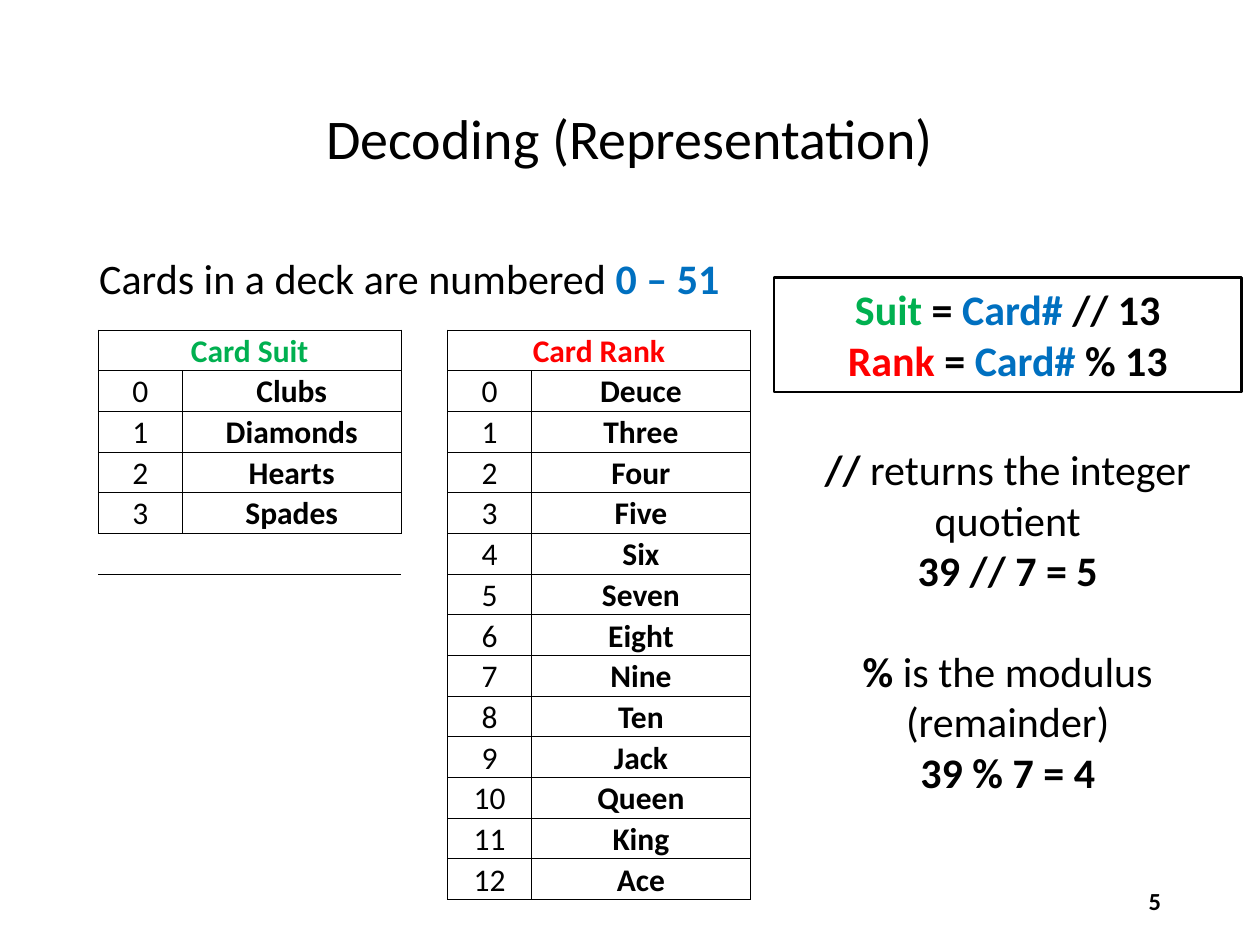
from itertools import zip_longest

from lxml import etree
from pptx import Presentation
from pptx.dml.color import RGBColor
from pptx.enum.shapes import MSO_SHAPE
from pptx.enum.text import MSO_ANCHOR, PP_ALIGN
from pptx.oxml.ns import qn
from pptx.util import Pt

LEFT, CENTER, RIGHT = PP_ALIGN.LEFT, PP_ALIGN.CENTER, PP_ALIGN.RIGHT
TOP, MIDDLE, BOTTOM = MSO_ANCHOR.TOP, MSO_ANCHOR.MIDDLE, MSO_ANCHOR.BOTTOM
RECTANGLE = MSO_SHAPE.RECTANGLE

BLACK = RGBColor(0x00, 0x00, 0x00)
BLUE = RGBColor(0x00, 0x70, 0xC0)
GREEN = RGBColor(0x00, 0xB0, 0x50)
RED = RGBColor(0xFF, 0x00, 0x00)
FONT = "Calibri"
NO_GRID_STYLE = "{2D5ABB26-0587-4C30-8999-92F81FD0307C}"

# Content: each paragraph is a list of runs (text, bold, colour)
TITLE = [[("Decoding (Representation)", False, BLACK)]]
INTRO = [[("Cards in a deck are numbered ", False, BLACK), ("0 – 51", True, BLUE)]]
FORMULAS = [
    [("Suit", True, GREEN), (" = ", True, BLACK),
     ("Card# ", True, BLUE), ("// 13", True, BLACK)],
    [("Rank ", True, RED), ("= ", True, BLACK),
     ("Card#", True, BLUE), (" % 13", True, BLACK)],
]
OPERATORS = [
    [("//", True, BLACK), (" returns the integer quotient", False, BLACK)],
    [("39 // 7 = 5", True, BLACK)],
    [("%", True, BLACK), (" is the modulus (remainder)", False, BLACK)],
    [("39 % 7 = 4", True, BLACK)],
]
PAGE = [[("5", True, BLACK)]]
SUITS = ["Clubs", "Diamonds", "Hearts", "Spades"]
RANKS = ["Deuce", "Three", "Four", "Five", "Six", "Seven", "Eight",
         "Nine", "Ten", "Jack", "Queen", "King", "Ace"]

# Table geometry
TABLE_LEFT, TABLE_TOP = 56.2, 188.6
COL_WIDTHS = [48, 125, 26.6, 48, 125]
ROW_HEIGHT = 23.25
SUIT_COL, RANK_COL = 0, 3


def write(tf, paragraphs, size, align, anchor=TOP):
    tf.word_wrap = True
    tf.vertical_anchor = anchor
    for i, runs in enumerate(paragraphs):
        p = tf.add_paragraph() if i else tf.paragraphs[0]
        p.alignment = align
        for text, bold, color in runs:
            r = p.add_run()
            r.text = text
            r.font.name, r.font.size = FONT, Pt(size)
            r.font.bold, r.font.color.rgb = bold, color


def place(sp, left, top, width, height):
    sp.left, sp.top, sp.width, sp.height = map(Pt, (left, top, width, height))


def add_border(tc_pr, side):
    ln = etree.SubElement(tc_pr, qn("a:ln" + side), w=str(Pt(0.5)))
    fill = etree.SubElement(ln, qn("a:solidFill"))
    etree.SubElement(fill, qn("a:srgbClr"), val=str(BLACK))


prs = Presentation()
prs.slide_width, prs.slide_height = Pt(720), Pt(540)
slide = prs.slides.add_slide(prs.slide_layouts[1])
shapes = slide.shapes

# Title and introduction
title, body = slide.placeholders
place(title, 49.5, 28.75, 621, 104.4)
write(title.text_frame, TITLE, 32, CENTER, MIDDLE)
place(body, 49.5, 143.75, 621, 342.6)
write(body.text_frame, INTRO, 24, LEFT)
for sp in (title, body):
    sp.text_frame.paragraphs[0].line_spacing = 0.9
p = body.text_frame.paragraphs[0]
p.space_before, p.space_after = Pt(0), Pt(12)
p_pr = p._p.get_or_add_pPr()
p_pr.set("marL", "0")
p_pr.set("indent", "0")
etree.SubElement(p_pr, qn("a:buNone"))

# Page number
page = shapes.add_textbox(Pt(508.5), Pt(500.5), Pt(162), Pt(28.75))
write(page.text_frame, PAGE, 14, RIGHT, MIDDLE)

# Formula box and operator notes
box = shapes.add_shape(RECTANGLE, Pt(442.3), Pt(158.6), Pt(267.2), Pt(65.4))
box.shadow.inherit = False
box.fill.background()
box.line.color.rgb, box.line.width = BLACK, Pt(1.5)
write(box.text_frame, FORMULAS, 24, CENTER)
notes = shapes.add_textbox(Pt(442.3), Pt(250), Pt(267.2), Pt(211))
write(notes.text_frame, OPERATORS, 24, CENTER)
notes.text_frame.paragraphs[2].space_before = Pt(29)

# Suit and rank table
n_rows, n_cols = len(RANKS) + 1, len(COL_WIDTHS)
frame = shapes.add_table(n_rows, n_cols, Pt(TABLE_LEFT), Pt(TABLE_TOP),
                         Pt(sum(COL_WIDTHS)), Pt(ROW_HEIGHT * n_rows))
table = frame.table
table.first_row = table.horz_banding = False
table._tbl.tblPr.find(qn("a:tableStyleId")).text = NO_GRID_STYLE
for col, width in zip(table.columns, COL_WIDTHS):
    col.width = Pt(width)
for row in table.rows:
    row.height = Pt(ROW_HEIGHT)

cells = {(0, SUIT_COL): ("Card Suit", True, GREEN), (0, SUIT_COL + 1): None,
         (0, RANK_COL): ("Card Rank", True, RED), (0, RANK_COL + 1): None}
for number, names in enumerate(zip_longest(SUITS, RANKS)):
    for col, name in zip((SUIT_COL, RANK_COL), names):
        if name:
            cells[number + 1, col] = (str(number), False, BLACK)
            cells[number + 1, col + 1] = (name, True, BLACK)
for col in (SUIT_COL, RANK_COL):
    table.cell(0, col).merge(table.cell(0, col + 1))

# An edge is drawn when a used cell lies on either side of it
SIDES = {"L": (0, -1), "R": (0, 1), "T": (-1, 0), "B": (1, 0)}
for row in range(n_rows):
    for col in range(n_cols):
        cell = table.cell(row, col)
        cell.margin_left = cell.margin_right = cell.margin_top = Pt(0.75)
        cell.margin_bottom = 0
        cell.vertical_anchor = BOTTOM
        for side, (dr, dc) in SIDES.items():
            if (row, col) in cells or (row + dr, col + dc) in cells:
                add_border(cell._tc.get_or_add_tcPr(), side)
        cell.fill.background()
        if cells.get((row, col)):
            write(cell.text_frame, [[cells[row, col]]], 18, CENTER, BOTTOM)

prs.save("out.pptx")
